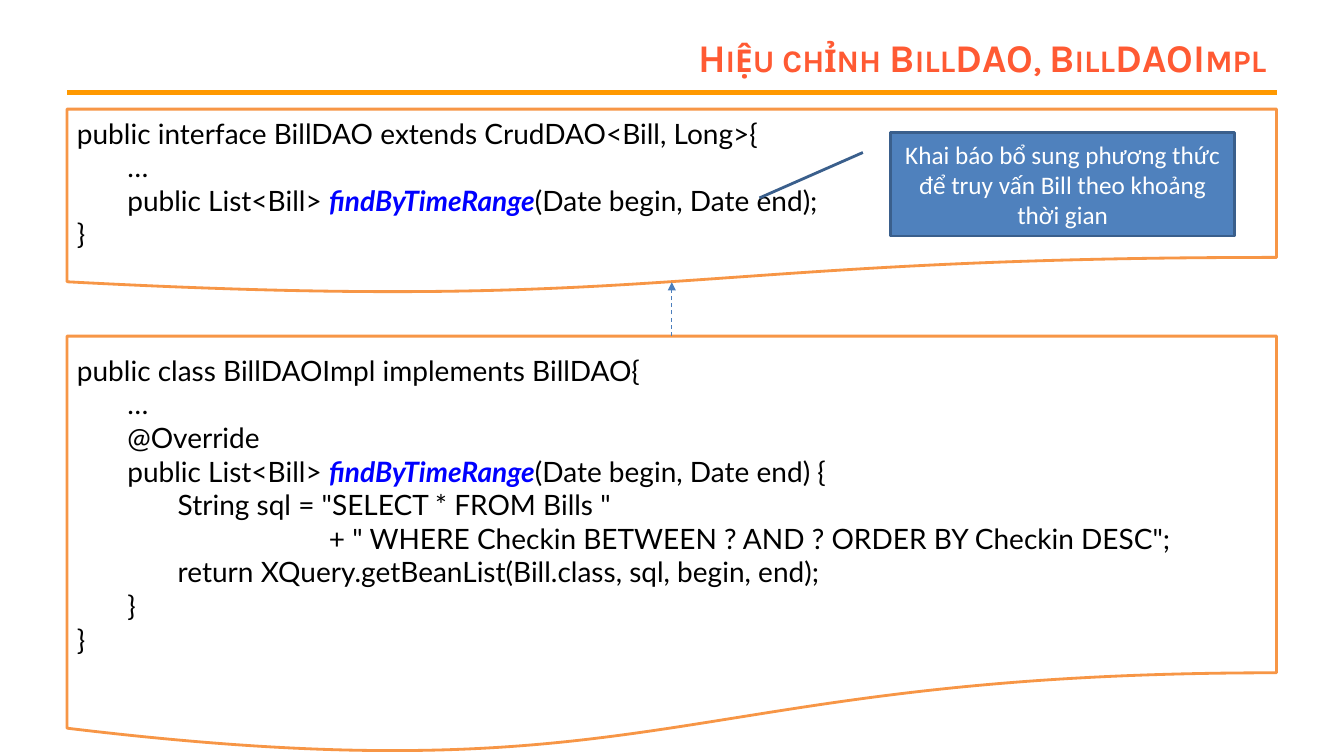
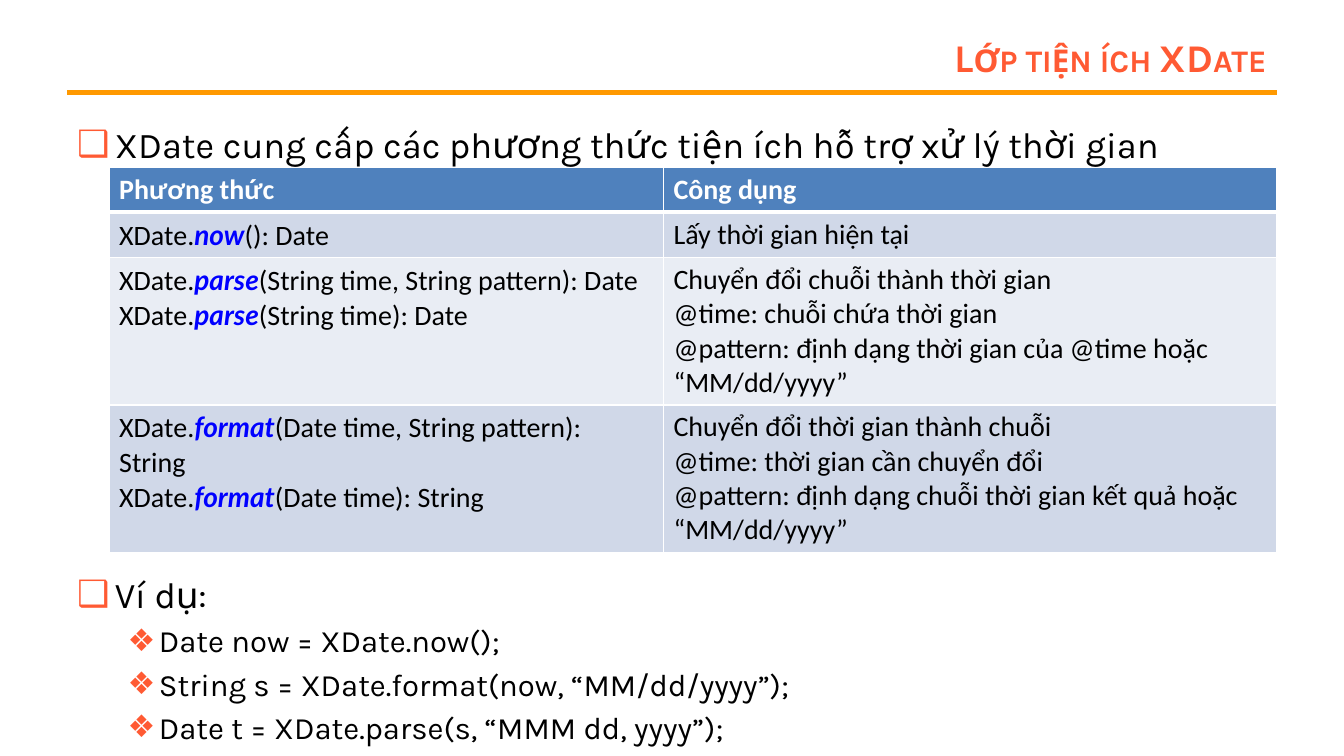
"""Build two course slides on the bill DAO and the XDate utility class."""
from dataclasses import dataclass
from typing import Optional

from pptx import Presentation
from pptx.dml.color import RGBColor
from pptx.enum.dml import MSO_LINE
from pptx.enum.shapes import MSO_CONNECTOR, MSO_SHAPE
from pptx.enum.text import MSO_ANCHOR as Anchor, MSO_AUTO_SIZE as AutoSize, PP_ALIGN as Align
from pptx.oxml import parse_xml
from pptx.oxml.ns import nsdecls, qn
from pptx.util import Cm, Pt

ORANGE, CORAL, BOX_ORANGE = "FF9900", "FF5A33", "F79646"
BLUE, DARK_BLUE, ARROW_BLUE, METHOD_BLUE = "4F81BD", "3A5F8C", "4B7EBC", "0000FF"
BAND_DARK, BAND_LIGHT = "D0D8E8", "E9EDF4"
BLACK, WHITE = "000000", "FFFFFF"
HEADING_FONT, CODE_FONT, TABLE_FONT = "Karla", "Lato", "Calibri"
MARGIN, CONTENT_WIDTH, INDENT = 1.69, 30.48, 1.27
TITLE_ONLY, TITLE_AND_CONTENT = 5, 1


@dataclass(frozen=True)
class Box:
    left: float
    top: float
    width: float
    height: float

    def lengths(self) -> tuple:
        return Cm(self.left), Cm(self.top), Cm(self.width), Cm(self.height)


@dataclass(frozen=True)
class CodeLine:
    text: str
    level: int = 0


@dataclass(frozen=True)
class CodePanel:
    box: Box
    lines: tuple[CodeLine, ...]


@dataclass(frozen=True)
class BulletStyle:
    symbol: str
    size: float
    margin: float
    hanging: float


@dataclass(frozen=True)
class Bullet:
    text: str
    level: int
    space_before: float


@dataclass(frozen=True)
class MethodRow:
    signatures: str
    purpose: str
    height: float
    band: str


TITLE_BOX = Box(6.2, 0.76, 25.97, 1.35)
BODY_BOX = Box(MARGIN, 2.96, CONTENT_WIDTH, 15.66)
CALLOUT_BOX = Box(22.44, 3.35, 8.68, 2.6)
CALLOUT_POINTER = (0.19, -0.08, 0.63, -0.38)
TABLE_LEFT, TABLE_TOP = 2.75, 4.23
COLUMN_WIDTHS = (13.97, 15.45)

PANELS = (
    CodePanel(Box(MARGIN, 2.75, CONTENT_WIDTH, 4.66), (
        CodeLine("public interface BillDAO extends CrudDAO<Bill, Long>{"),
        CodeLine("…", 1),
        CodeLine("public List<Bill> |findByTimeRange|(Date begin, Date end);", 1),
        CodeLine("}"),
    )),
    CodePanel(Box(MARGIN, 8.47, CONTENT_WIDTH, 10.58), (
        CodeLine("public class BillDAOImpl implements BillDAO{"),
        CodeLine("…", 1),
        CodeLine("@Override", 1),
        CodeLine("public List<Bill> |findByTimeRange|(Date begin, Date end) {", 1),
        CodeLine('String sql = "SELECT * FROM Bills "', 2),
        CodeLine('+ " WHERE Checkin BETWEEN ? AND ? ORDER BY Checkin DESC";', 5),
        CodeLine("return XQuery.getBeanList(Bill.class, sql, begin, end);", 2),
        CodeLine("}", 1),
        CodeLine("}"),
    )),
)

BULLET_STYLES = (BulletStyle("❑", 25.9, 0.95, 0.95), BulletStyle("❖", 22.2, 2.06, 0.79))
BULLETS = (
    Bullet("XDate cung cấp các phương thức tiện ích hỗ trợ xử lý thời gian", 0, 5.2),
    Bullet("Ví dụ:", 0, 290),
    Bullet("Date now = XDate.now();", 1, 4.4),
    Bullet("String s = XDate.format(now, “MM/dd/yyyy”);", 1, 4.4),
    Bullet("Date t = XDate.parse(s, “MMM dd, yyyy”);", 1, 4.4),
)

METHOD_ROWS = (
    MethodRow("Phương thức", "Công dụng", 1.04, BLUE),
    MethodRow("XDate.|now|(): Date", "Lấy thời gian hiện tại", 1.04, BAND_DARK),
    MethodRow(
        "XDate.|parse|(String time, String pattern): Date\nXDate.|parse|(String time): Date",
        "Chuyển đổi chuỗi thành thời gian\n@time: chuỗi chứa thời gian\n"
        "@pattern: định dạng thời gian của @time hoặc “MM/dd/yyyy”", 3.7, BAND_LIGHT),
    MethodRow(
        "XDate.|format|(Date time, String pattern): String\nXDate.|format|(Date time): String",
        "Chuyển đổi thời gian thành chuỗi\n@time: thời gian cần chuyển đổi\n"
        "@pattern: định dạng chuỗi thời gian kết quả hoặc “MM/dd/yyyy”", 3.7, BAND_DARK),
)


def rgb(color: str) -> RGBColor:
    return RGBColor.from_string(color)


def style_font(font, name: str, size: float, color: str,
               bold: bool = False, italic: bool = False) -> None:
    font.name, font.size = name, Pt(size)
    font.bold, font.italic = bold, italic
    font.color.rgb = rgb(color)


def write_marked(paragraph, text: str, font_name: str, color: str = BLACK,
                 bold: bool = False) -> None:
    for position, part in enumerate(text.split("|")):
        run = paragraph.add_run()
        run.text = part
        if position % 2:
            style_font(run.font, CODE_FONT, 20, METHOD_BLUE, True, True)
        else:
            style_font(run.font, font_name, 20, color, bold)


def next_paragraph(frame, index: int):
    return frame.add_paragraph() if index else frame.paragraphs[0]


def set_indent(paragraph, margin: float, hanging: float = 0) -> None:
    properties = paragraph._p.get_or_add_pPr()
    properties.set("marL", str(Cm(margin)))
    properties.set("indent", str(-Cm(hanging)))


def place(shape, box: Box) -> None:
    shape.left, shape.top, shape.width, shape.height = box.lengths()


def add_line(slide, start: tuple, end: tuple, color: str, width: float):
    connector = slide.shapes.add_connector(
        MSO_CONNECTOR.STRAIGHT, *(Cm(value) for value in start + end))
    connector.line.color.rgb = rgb(color)
    connector.line.width = Pt(width)
    connector.element.spPr.append(parse_xml(f"<a:effectLst {nsdecls('a')}/>"))
    return connector


def add_box(slide, preset, box: Box, fill: str, outline: str):
    shape = slide.shapes.add_shape(preset, *box.lengths())
    shape.shadow.inherit = False
    shape.fill.solid()
    shape.fill.fore_color.rgb = rgb(fill)
    shape.line.color.rgb = rgb(outline)
    shape.line.width = Pt(2)
    shape.text_frame.word_wrap = True
    shape.text_frame.vertical_anchor = Anchor.MIDDLE
    return shape


def add_titled_slide(deck, layout: int, title: str):
    slide = deck.slides.add_slide(deck.slide_layouts[layout])
    heading = slide.shapes.title
    place(heading, TITLE_BOX)
    frame = heading.text_frame
    frame.text = title
    frame.auto_size = AutoSize.NONE
    frame.vertical_anchor = Anchor.MIDDLE
    frame.paragraphs[0].alignment = Align.RIGHT
    run = frame.paragraphs[0].runs[0]
    style_font(run.font, HEADING_FONT, 28, CORAL, True)
    run.font._element.set("cap", "small")
    return slide


def add_master_rule(deck, slide) -> None:
    rule = add_line(slide, (MARGIN, 2.33), (MARGIN + CONTENT_WIDTH, 2.33), ORANGE, 3)
    deck.slide_master.shapes.element.append(rule.element)


def add_code_panel(slide, panel: CodePanel) -> None:
    frame = add_box(slide, MSO_SHAPE.FLOWCHART_DOCUMENT, panel.box, WHITE, BOX_ORANGE).text_frame
    for index, line in enumerate(panel.lines):
        paragraph = next_paragraph(frame, index)
        paragraph.level = line.level
        paragraph.alignment = Align.LEFT
        set_indent(paragraph, line.level * INDENT)
        write_marked(paragraph, line.text, CODE_FONT)


def add_implements_arrow(slide) -> None:
    middle = MARGIN + CONTENT_WIDTH / 2
    arrow = add_line(slide, (middle, 8.47), (middle, 7.11), ARROW_BLUE, 0.75)
    arrow.line.dash_style = MSO_LINE.DASH
    arrow.element.spPr.find(qn("a:ln")).append(
        parse_xml(f'<a:tailEnd {nsdecls("a")} type="triangle"/>'))


def add_callout(slide, text: str) -> None:
    callout = add_box(slide, MSO_SHAPE.LINE_CALLOUT_1, CALLOUT_BOX, BLUE, DARK_BLUE)
    for index, value in enumerate(CALLOUT_POINTER):
        callout.adjustments[index] = value
    callout.text_frame.text = text
    paragraph = callout.text_frame.paragraphs[0]
    paragraph.alignment = Align.CENTER
    style_font(paragraph.runs[0].font, TABLE_FONT, 18, WHITE)


def add_bullets(slide) -> None:
    body = slide.placeholders[1]
    place(body, BODY_BOX)
    frame = body.text_frame
    frame.auto_size = AutoSize.NONE
    for index, bullet in enumerate(BULLETS):
        style = BULLET_STYLES[bullet.level]
        paragraph = next_paragraph(frame, index)
        paragraph.text = bullet.text
        paragraph.level = bullet.level
        paragraph.space_before = Pt(bullet.space_before)
        set_indent(paragraph, style.margin, style.hanging)
        properties = paragraph._p.get_or_add_pPr()
        for markup in (f'<a:buClr {nsdecls("a")}><a:srgbClr val="{CORAL}"/></a:buClr>',
                       f'<a:buChar {nsdecls("a")} char="{style.symbol}"/>'):
            properties.append(parse_xml(markup))
        style_font(paragraph.runs[0].font, HEADING_FONT, style.size, BLACK)


def set_borders(cell, bottom: Optional[float] = None) -> None:
    properties = cell._tc.get_or_add_tcPr()
    for side in "LRTB":
        width = bottom if side == "B" and bottom else 1
        properties.append(parse_xml(
            f'<a:ln{side} {nsdecls("a")} w="{Pt(width)}"><a:solidFill>'
            f'<a:srgbClr val="{WHITE}"/></a:solidFill></a:ln{side}>'))


def add_method_table(slide) -> None:
    box = Box(TABLE_LEFT, TABLE_TOP, sum(COLUMN_WIDTHS), sum(row.height for row in METHOD_ROWS))
    table = slide.shapes.add_table(len(METHOD_ROWS), len(COLUMN_WIDTHS), *box.lengths()).table
    for column, width in zip(table.columns, COLUMN_WIDTHS):
        column.width = Cm(width)
    for row_index, method in enumerate(METHOD_ROWS):
        table.rows[row_index].height = Cm(method.height)
        is_header = row_index == 0
        for column_index, content in enumerate((method.signatures, method.purpose)):
            cell = table.cell(row_index, column_index)
            set_borders(cell, 3 if is_header else None)
            cell.fill.solid()
            cell.fill.fore_color.rgb = rgb(method.band)
            for index, text in enumerate(content.split("\n")):
                write_marked(next_paragraph(cell.text_frame, index), text, TABLE_FONT,
                             WHITE if is_header else BLACK, is_header)


def main() -> None:
    deck = Presentation()
    deck.slide_width, deck.slide_height = Cm(33.87), Cm(19.05)

    dao_slide = add_titled_slide(deck, TITLE_ONLY, "Hiệu chỉnh BillDAO, BillDAOImpl")
    add_master_rule(deck, dao_slide)
    for panel in PANELS:
        add_code_panel(dao_slide, panel)
    add_implements_arrow(dao_slide)
    add_callout(dao_slide, "Khai báo bổ sung phương thức để truy vấn Bill theo khoảng thời gian")

    xdate_slide = add_titled_slide(deck, TITLE_AND_CONTENT, "Lớp tiện ích XDate")
    add_bullets(xdate_slide)
    add_method_table(xdate_slide)

    deck.save("out.pptx")


if __name__ == "__main__":
    main()
